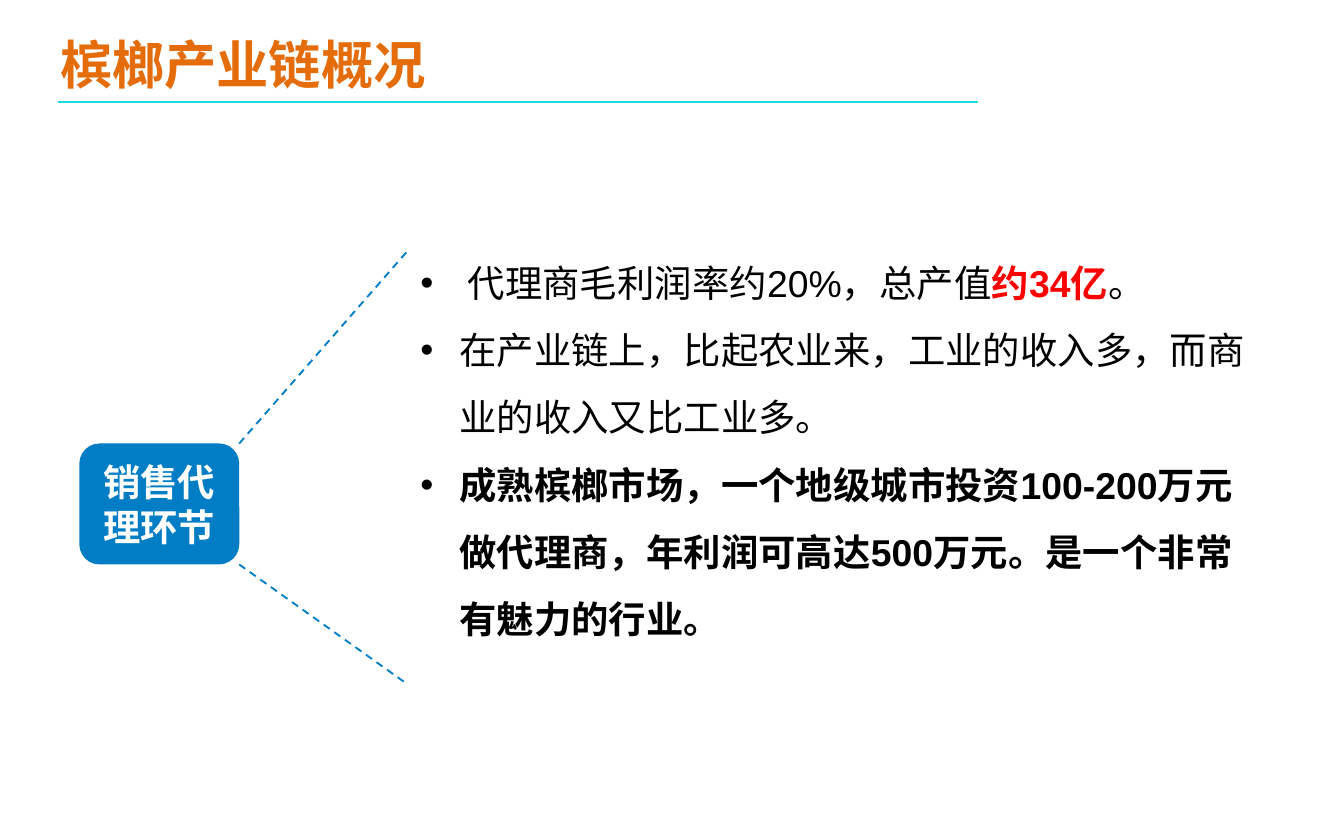
from lxml.etree import SubElement
from pptx import Presentation
from pptx.dml.color import RGBColor
from pptx.enum.dml import MSO_LINE
from pptx.enum.shapes import MSO_CONNECTOR, MSO_SHAPE
from pptx.enum.text import MSO_ANCHOR, PP_ALIGN
from pptx.oxml.ns import qn
from pptx.util import Inches, Pt

BLUE = "007DC4"
ORANGE = "E46C0A"
CYAN = "1ADCE0"
BLACK = "000000"
RED = "FF0000"
WHITE = "FFFFFF"
CHINESE_FONT = "Noto Sans CJK SC"

BULLETS = [
    [(" 代理商毛利润率约20%，总产值", BLACK, False), ("约34亿", RED, True), ("。", BLACK, False)],
    [("在产业链上，比起农业来，工业的收入多，而商业的收入又比工业多。", BLACK, False)],
    [("成熟槟榔市场，一个地级城市投资100-200万元做代理商，年利润可高达500万元。是一个非常有魅力的行业。", BLACK, True)],
]


def color(value):
    return RGBColor.from_string(value)


def set_attributes(target, values):
    for name, value in values.items():
        setattr(target, name, value)


def add_run(paragraph, text, size, font_name, text_color, bold):
    run = paragraph.add_run()
    run.text = text
    set_attributes(run.font, {"size": Pt(size), "name": font_name, "bold": bold})
    run.font.color.rgb = color(text_color)
    SubElement(run.font._element, qn("a:ea"), typeface=CHINESE_FONT)


def add_line(slide, start, end, line_color, dash=None):
    points = [Inches(value) for value in (*start, *end)]
    connector = slide.shapes.add_connector(MSO_CONNECTOR.STRAIGHT, *points)
    set_attributes(connector.line, {"width": Pt(1), "dash_style": dash})
    connector.line.color.rgb = color(line_color)
    SubElement(connector._element.spPr, qn("a:effectLst"))


def add_text_box(slide, box):
    text_box = slide.shapes.add_textbox(*[Inches(value) for value in box])
    text_box.text_frame.word_wrap = True
    return text_box.text_frame


def add_title(slide, box):
    left, top, width, height = box
    frame = add_text_box(slide, box)
    add_run(frame.paragraphs[0], "槟榔产业链概况", 28, "Calibri", ORANGE, True)
    bottom = top + height
    add_line(slide, (left + 0.08, bottom), (left + width, bottom), CYAN)


def add_stage(slide, box, fan_right, fan_top, fan_bottom):
    left, top, width, height = box
    right = left + width
    for corner, target in ((top + height, fan_bottom), (top, fan_top)):
        add_line(slide, (right, corner), (fan_right, target), BLUE, MSO_LINE.DASH)
    shape = slide.shapes.add_shape(MSO_SHAPE.ROUNDED_RECTANGLE, *[Inches(value) for value in box])
    shape.shadow.inherit = False
    shape.fill.solid()
    shape.fill.fore_color.rgb = color(BLUE)
    shape.line.fill.background()
    set_attributes(shape.text_frame, {"word_wrap": True, "vertical_anchor": MSO_ANCHOR.MIDDLE})
    paragraph = shape.text_frame.paragraphs[0]
    paragraph.alignment = PP_ALIGN.CENTER
    add_run(paragraph, "销售代理环节", 20, CHINESE_FONT, WHITE, True)


def add_bullets(slide, box):
    frame = add_text_box(slide, box)
    indent = Inches(0.29)
    for index, runs in enumerate(BULLETS):
        paragraph = frame.add_paragraph() if index else frame.paragraphs[0]
        paragraph.line_spacing = 1.5
        properties = paragraph._element.get_or_add_pPr()
        properties.set("marL", str(indent))
        properties.set("indent", str(-indent))
        SubElement(properties, qn("a:buFont"), typeface="Arial")
        SubElement(properties, qn("a:buChar"), char="•")
        for text, text_color, bold in runs:
            add_run(paragraph, text, 20, "Arial", text_color, bold)


def main():
    presentation = Presentation()
    set_attributes(presentation, {"slide_width": Inches(10), "slide_height": Inches(6.25)})
    slide = presentation.slides.add_slide(presentation.slide_layouts[6])
    add_stage(slide, (0.59, 3.3, 1.19, 0.9), 3.03, 1.87, 5.09)
    add_bullets(slide, (3.03, 1.72, 6.35, 3.45))
    add_title(slide, (0.35, 0.19, 6.93, 0.57))
    presentation.save("out.pptx")


if __name__ == "__main__":
    main()
